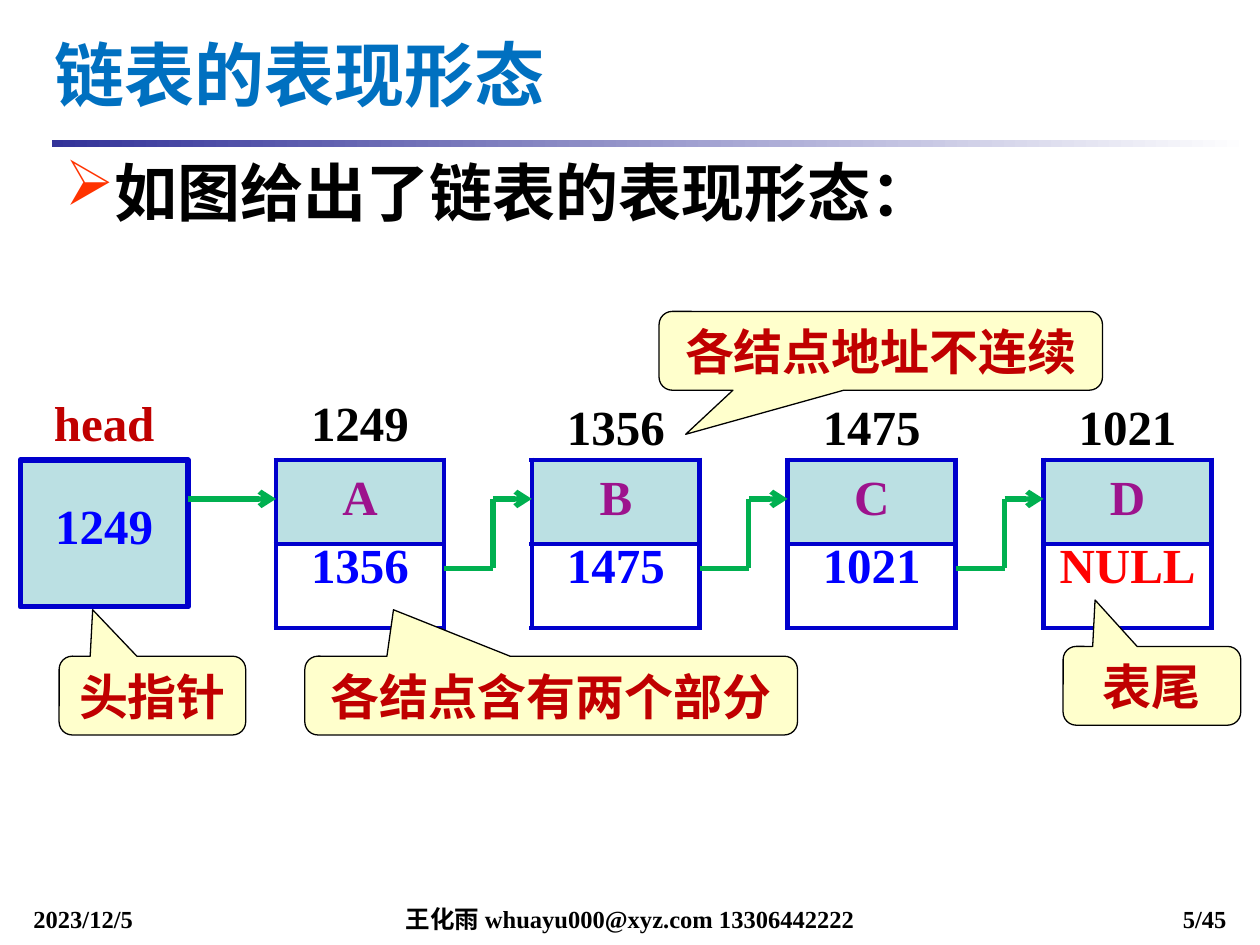
from lxml import etree
from pptx import Presentation
from pptx.dml.color import RGBColor
from pptx.enum import shapes, text
from pptx.oxml import ns
from pptx.util import Pt

BLACK = RGBColor(0x00, 0x00, 0x00)
WHITE = RGBColor(0xFF, 0xFF, 0xFF)
TITLE_BLUE = RGBColor(0x00, 0x70, 0xC0)
RULE_BLUE = RGBColor(0x33, 0x33, 0x99)
BORDER_BLUE = RGBColor(0x00, 0x00, 0xCC)
POINTER_BLUE = RGBColor(0x00, 0x00, 0xFF)
NODE_TEAL = RGBColor(0xBB, 0xE0, 0xE3)
DATA_PURPLE = RGBColor(0x9D, 0x13, 0x8D)
ARROW_GREEN = RGBColor(0x00, 0xB0, 0x50)
NOTE_YELLOW = RGBColor(0xFF, 0xFF, 0xCC)
DARK_RED = RGBColor(0xC0, 0x00, 0x00)
NULL_RED = RGBColor(0xFF, 0x00, 0x00)
BULLET_RED = RGBColor(0xFF, 0x33, 0x00)

LEFT, CENTER, RIGHT = text.PP_ALIGN.LEFT, text.PP_ALIGN.CENTER, text.PP_ALIGN.RIGHT


def add_xml(parent, tag, **attributes):
    return etree.SubElement(parent, ns.qn(tag), attributes)


def set_all(target, values):
    for name, value in values.items():
        setattr(target, name, value)


class Diagram:
    latin, east_asian = "Times New Roman", "Noto Sans CJK SC"
    border = 3

    def __init__(self, slide):
        self.slide = slide

    def put_text(self, frame, words, size, color, align=LEFT, **paragraph_format):
        paragraph = frame.paragraphs[0]
        set_all(paragraph, {"alignment": align, **paragraph_format})
        run = paragraph.add_run()
        run.text = words
        set_all(run.font, {"size": Pt(size), "bold": True, "name": self.latin})
        run.font.color.rgb = color
        add_xml(run._r.get_or_add_rPr(), "a:ea", typeface=self.east_asian)
        return paragraph

    def title(self, words, left, top, width, height):
        title = self.slide.shapes.title
        set_all(title, {"left": Pt(left), "top": Pt(top),
                        "width": Pt(width), "height": Pt(height)})
        title.text_frame.vertical_anchor = text.MSO_ANCHOR.MIDDLE
        self.put_text(title.text_frame, words, 40, TITLE_BLUE)

    def label(self, words, left, top, width, height, size=28, color=BLACK,
              align=CENTER, **paragraph_format):
        box = self.slide.shapes.add_textbox(Pt(left), Pt(top), Pt(width), Pt(height))
        box.text_frame.word_wrap = True
        return self.put_text(box.text_frame, words, size, color, align, **paragraph_format)

    def bullet(self, words, left, top, width, height):
        paragraph = self.label(words, left, top, width, height, 36, align=LEFT)
        props = paragraph._p.get_or_add_pPr()
        props.set("marL", str(Pt(27)))
        props.set("indent", str(-Pt(27)))
        add_xml(add_xml(props, "a:buClr"), "a:srgbClr", val=str(BULLET_RED))
        add_xml(props, "a:buChar", char="➢")

    def shape(self, kind, left, top, width, height):
        shape = self.slide.shapes.add_shape(kind, Pt(left), Pt(top), Pt(width), Pt(height))
        shape.shadow.inherit = False
        return shape

    def rule(self, *place):
        rule = self.shape(shapes.MSO_SHAPE.RECTANGLE, *place)
        rule.line.fill.background()
        rule.fill.gradient()
        rule.fill.gradient_angle = 0
        for stop, position, color in zip(rule.fill.gradient_stops, (0, 1), (RULE_BLUE, WHITE)):
            stop.position = position
            stop.color.rgb = color

    def filled(self, kind, place, fill, line, weight):
        shape = self.shape(kind, *place)
        shape.fill.solid()
        shape.fill.fore_color.rgb = fill
        shape.line.color.rgb = line
        shape.line.width = Pt(weight)
        return shape

    def head_box(self, *place):
        self.filled(shapes.MSO_SHAPE.RECTANGLE, place, NODE_TEAL, BORDER_BLUE, self.border)

    def callout(self, words, place, tip):
        note = self.filled(shapes.MSO_SHAPE.ROUNDED_RECTANGULAR_CALLOUT, place,
                           NOTE_YELLOW, BLACK, 0.75)
        for index, value in enumerate(tip):
            note.adjustments[index] = value
        set_all(note.text_frame, {"word_wrap": False,
                                  "vertical_anchor": text.MSO_ANCHOR.MIDDLE})
        self.put_text(note.text_frame, words, 28, DARK_RED, CENTER)

    def node(self, left, top, width, row_height):
        table = self.slide.shapes.add_table(
            2, 1, Pt(left), Pt(top), Pt(width), Pt(2 * row_height)).table
        set_all(table, {"first_row": False, "horz_banding": False})
        for row, fill in zip(table.rows, (NODE_TEAL, WHITE)):
            row.height = Pt(row_height)
            cell = row.cells[0]
            cell.fill.solid()
            cell.fill.fore_color.rgb = fill
            props = cell._tc.get_or_add_tcPr()
            for index, side in enumerate(("a:lnL", "a:lnR", "a:lnT", "a:lnB")):
                edge = add_xml(props, side, w=str(Pt(self.border)))
                add_xml(add_xml(edge, "a:solidFill"), "a:srgbClr", val=str(BORDER_BLUE))
                props.insert(index, edge)

    def line(self, start, end, arrow=False):
        line = self.slide.shapes.add_connector(
            shapes.MSO_CONNECTOR.STRAIGHT, *(Pt(v) for v in (*start, *end)))
        line.line.color.rgb = ARROW_GREEN
        line.line.width = Pt(3)
        props = line._element.spPr
        if arrow:
            add_xml(props.find(ns.qn("a:ln")), "a:tailEnd", type="arrow")
        add_xml(props, "a:effectLst")


def main():
    deck = Presentation()
    set_all(deck, {"slide_width": Pt(720), "slide_height": Pt(540)})
    diagram = Diagram(deck.slides.add_slide(deck.slide_layouts[5]))

    # Heading, rule and footer
    diagram.rule(29.5, 80, 685, 4.3)
    diagram.title("链表的表现形态", 24, 12, 672.5, 60)
    diagram.bullet("如图给出了链表的表现形态：", 30, 84, 672.5, 402)
    for words, left, width, align in (
            ("2023/12/5", 12, 168, LEFT),
            ("王化雨 whuayu000@xyz.com 13306442222", 186, 348, CENTER),
            ("5/45", 570, 138, RIGHT)):
        diagram.label(words, left, 516, width, 13, 14, align=align, line_spacing=0.8)

    # Linked list: the head pointer, then nodes at an equal pitch
    first, pitch, width, top = 11.5, 146.2, 96, 262.8
    label_height, data_y, next_y, elbow = 41, 285.1, 324.7, 28
    diagram.head_box(first, top, width, 84)
    diagram.label("head", first, 221, width, label_height, color=DARK_RED)
    diagram.label("1249", first, 279.4, width, label_height, color=POINTER_BLUE)

    nodes = (("1249", "A", "1356"), ("1356", "B", "1475"),
             ("1475", "C", "1021"), ("1021", "D", "NULL"))
    for index, (address, data, following) in enumerate(nodes):
        left = first + (index + 1) * pitch
        previous_right = left - pitch + width
        diagram.node(left, top, width, 48)
        for words, label_top, color in (
                (address, 223.2 if index else 221, BLACK),
                (data, top, DATA_PURPLE),
                (following, 301.7, NULL_RED if following == "NULL" else POINTER_BLUE)):
            diagram.label(words, left, label_top, width, label_height, color=color)

        # Link from the previous box
        arrow_x = previous_right
        if index:
            arrow_x += elbow
            diagram.line((previous_right, next_y), (arrow_x, next_y))
            diagram.line((arrow_x, next_y), (arrow_x, data_y))
        diagram.line((arrow_x, data_y), (left, data_y), arrow=True)

    # Callouts
    tip_above, tip_below = (-0.32, -1.09), (-0.44, 1.06)
    for words, left, note_top, note_width, tip in (
            ("头指针", 33.8, 375, 106.6, tip_above),
            ("各结点地址不连续", 376.6, 178, 253.4, tip_below),
            ("各结点含有两个部分", 174.2, 375, 281.5, tip_above),
            ("表尾", 607.5, 369.4, 101.5, tip_above)):
        diagram.callout(words, (left, note_top, note_width, 45), tip)

    deck.save("out.pptx")


if __name__ == "__main__":
    main()
